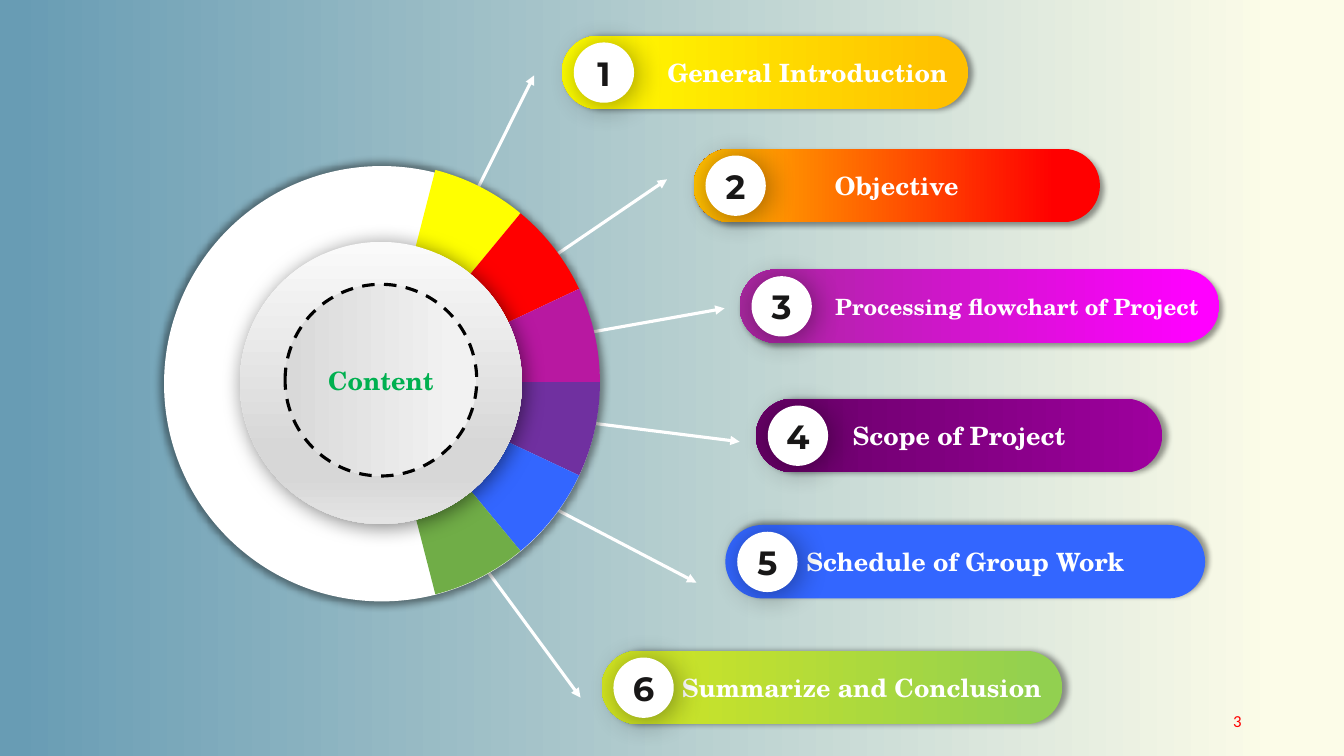
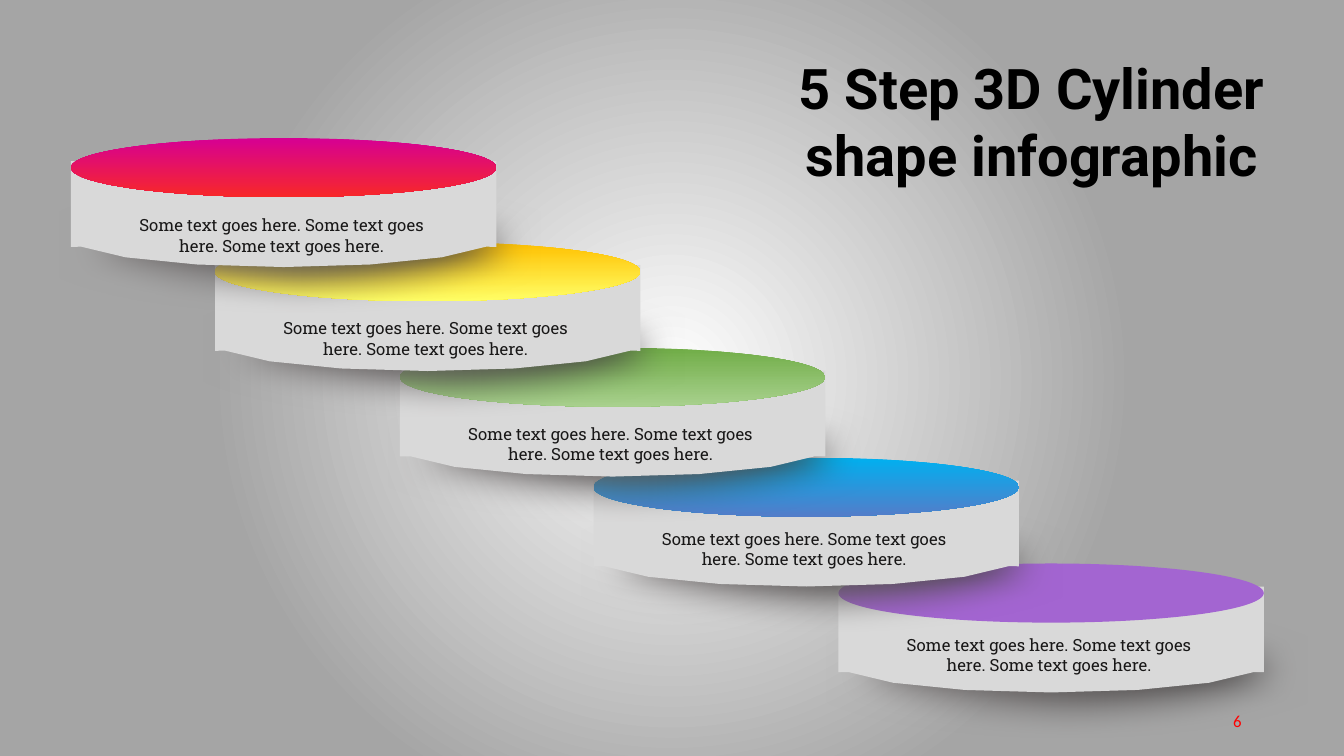
from math import cos, radians, sin

from lxml import etree
from pptx import Presentation
from pptx.dml.color import RGBColor
from pptx.enum.dml import MSO_LINE
from pptx.enum.shapes import MSO_CONNECTOR, MSO_SHAPE
from pptx.enum.text import MSO_ANCHOR, PP_ALIGN
from pptx.oxml.ns import qn
from pptx.util import Cm, Pt

ELLIPSE, PIE, PILL = MSO_SHAPE.OVAL, MSO_SHAPE.PIE, MSO_SHAPE.ROUNDED_RECTANGLE
STRAIGHT = MSO_CONNECTOR.STRAIGHT
DASH = MSO_LINE.DASH
MIDDLE = MSO_ANCHOR.MIDDLE
CENTER, RIGHT = PP_ALIGN.CENTER, PP_ALIGN.RIGHT

WHITE = RGBColor(0xFF, 0xFF, 0xFF)
BLACK = RGBColor(0x00, 0x00, 0x00)
INK = RGBColor(0x18, 0x17, 0x17)
RED = RGBColor(0xFF, 0x00, 0x00)
YELLOW = RGBColor(0xFF, 0xFF, 0x00)
AMBER = RGBColor(0xFF, 0xC0, 0x00)
BLUE = RGBColor(0x33, 0x66, 0xFF)
GREEN = RGBColor(0x70, 0xAD, 0x47)
PALE_GREEN = RGBColor(0xA9, 0xD1, 0x8E)
LEAF = RGBColor(0x92, 0xD0, 0x50)
LIME = RGBColor(0xD3, 0xE6, 0x22)
EMERALD = RGBColor(0x00, 0xB0, 0x50)
MAGENTA = RGBColor(0xB8, 0x18, 0xA1)
FUCHSIA = RGBColor(0xFF, 0x00, 0xFF)
PLUM = RGBColor(0xA8, 0x28, 0x9F)
PURPLE = RGBColor(0x70, 0x30, 0xA0)
VIOLET = RGBColor(0x9E, 0x00, 0x9E)
DARK_VIOLET = RGBColor(0x66, 0x00, 0x66)
LAVENDER = RGBColor(0xA3, 0x65, 0xD1)
PINK = RGBColor(0xD6, 0x00, 0x93)
SCARLET = RGBColor(0xF8, 0x28, 0x28)
LEMON = RGBColor(0xFF, 0xFF, 0x66)
SKY = RGBColor(0x00, 0xB0, 0xF0)
STEEL = RGBColor(0x53, 0x7D, 0xC9)
CREAM = RGBColor(0xFC, 0xFC, 0xE8)
TEAL = RGBColor(0x68, 0x9C, 0xB4)
GRAY_98 = RGBColor(0xFA, 0xFA, 0xFA)
GRAY_95 = RGBColor(0xF2, 0xF2, 0xF2)
GRAY_89 = RGBColor(0xE4, 0xE4, 0xE4)
GRAY_85 = RGBColor(0xD9, 0xD9, 0xD9)
GRAY_84 = RGBColor(0xD7, 0xD7, 0xD7)
GRAY_65 = RGBColor(0xA5, 0xA5, 0xA5)
GRAY_45 = RGBColor(0x76, 0x71, 0x71)
GRAY_22 = RGBColor(0x3B, 0x38, 0x38)

SERIF = "TeX Gyre Schola"

# Wheel
WHEEL_X, WHEEL_Y, WEDGE_DIAMETER = 9.6, 9.63, 11.04
WEDGE_START, WEDGE_SWEEP = 284.4, 25.2
PILL_HEIGHT, BADGE_SIZE = 1.85, 1.52

# wedge colour, arrow (x1, y1, x2, y2)
WEDGES = [
    (YELLOW, (9.91, 9.02, 13.46, 1.9)),
    (RED, (9.86, 9.25, 16.81, 4.52)),
    (MAGENTA, (9.12, 9.4, 18.26, 7.77)),
    (PURPLE, (9.5, 9.98, 18.64, 11.13)),
    (BLUE, (9.91, 10.69, 17.55, 14.68)),
    (GREEN, (9.19, 10.19, 14.63, 17.58)),
]

# text, left, top, width, alignment, size, fill, shadow direction
TOPICS = [
    ("General Introduction", 14.16, 0.9, 10.24, RIGHT, 18, [(4, AMBER), (100, YELLOW)], 0),
    ("Objective", 17.48, 3.75, 10.24, CENTER, 18, [(11, RED), (100, AMBER)], 45),
    ("Processing flowchart of Project", 18.64, 6.79, 12.09, RIGHT, 16,
     [(4, FUCHSIA), (100, PLUM)], 45),
    ("Scope of Project", 19.05, 10.05, 10.24, CENTER, 18, [(0, VIOLET), (100, DARK_VIOLET)], 0),
    ("Schedule of Group Work", 18.28, 13.23, 12.09, CENTER, 18, BLUE, 315),
    ("Summarize and Conclusion", 15.16, 16.4, 11.61, RIGHT, 18, [(4, LEAF), (100, LIME)], 0),
]

# Cylinders
DISC_WIDTH, DISC_HEIGHT = 10.72, 1.49
STEP_LINES = ["Some text goes here. Some text goes", "here. Some text goes here."]

# left, top, lid fill, space above the text
CYLINDERS = [
    (1.79, 3.48, [(0, PINK), (100, SCARLET)], 1.07),
    (5.42, 6.1, [(0, AMBER), (100, LEMON)], 1.02),
    (10.08, 8.76, [(0, GREEN), (100, PALE_GREEN)], 1.02),
    (14.96, 11.53, [(0, SKY), (100, STEEL)], 0.79),
    (21.13, 14.2, LAVENDER, 0.79),
]


def add_child(parent, tag, **attributes):
    values = {name: str(value) for name, value in attributes.items()}
    return etree.SubElement(parent, qn(tag), values)


def set_gradient(fill, element, stops, angle=None):
    """Fill with (percent, colour) stops; without an angle they spread from the centre."""
    fill.gradient()
    gradient = next(element.iter(qn("a:gradFill")))
    for child in list(gradient):
        gradient.remove(child)
    stop_list = add_child(gradient, "a:gsLst")
    for percent, color in stops:
        stop = add_child(stop_list, "a:gs", pos=percent * 1000)
        add_child(stop, "a:srgbClr", val=color)
    if angle is None:
        circle = add_child(gradient, "a:path", path="circle")
        add_child(circle, "a:fillToRect", l=50000, t=50000, r=50000, b=50000)
    else:
        add_child(gradient, "a:lin", ang=angle * 60000, scaled=0)


def style_shape(shape, fill, angle=180):
    """Apply a colour or a list of gradient stops, with no outline and no shadow."""
    shape.shadow.inherit = False
    shape.line.fill.background()
    if isinstance(fill, list):
        set_gradient(shape.fill, shape._element.spPr, fill, angle)
    else:
        shape.fill.solid()
        shape.fill.fore_color.rgb = fill


def add_shape(slide, kind, left, top, width, height, fill, angle=180):
    shape = slide.shapes.add_shape(kind, Cm(left), Cm(top), Cm(width), Cm(height))
    style_shape(shape, fill, angle)
    return shape


def add_shadow(shape, alpha, blur, distance, direction, scale=100):
    effects = shape._element.spPr.find(qn("a:effectLst"))
    shadow = add_child(effects, "a:outerShdw", blurRad=Pt(blur), dist=Pt(distance),
                       dir=direction * 60000, sx=scale * 1000, sy=scale * 1000,
                       algn="ctr", rotWithShape=0)
    color = add_child(shadow, "a:srgbClr", val=BLACK)
    add_child(color, "a:alpha", val=alpha * 1000)


def soften_edge(shape, radius):
    effects = shape._element.spPr.find(qn("a:effectLst"))
    add_child(effects, "a:softEdge", rad=Pt(radius))


def write_text(shape, *lines, font, size, color, bold=False, align=CENTER,
               margins=(0.25, 0.13, 0.25, 0.13)):
    frame = shape.text_frame
    frame.word_wrap = True
    frame.vertical_anchor = MIDDLE
    (frame.margin_left, frame.margin_top,
     frame.margin_right, frame.margin_bottom) = map(Cm, margins)
    for index, line in enumerate(lines):
        paragraph = frame.add_paragraph() if index else frame.paragraphs[0]
        paragraph.alignment = align
        run = paragraph.add_run()
        run.text = line
        run.font.name = font
        run.font.size = Pt(size)
        run.font.bold = bold
        run.font.color.rgb = color


def add_text_box(slide, left, top, width, height, text, **text_format):
    box = slide.shapes.add_textbox(Cm(left), Cm(top), Cm(width), Cm(height))
    write_text(box, text, **text_format)


def add_arrow(slide, x1, y1, x2, y2):
    arrow = slide.shapes.add_connector(STRAIGHT, Cm(x1), Cm(y1), Cm(x2), Cm(y2))
    arrow.line.color.rgb = WHITE
    arrow.line.width = Pt(2.25)
    add_child(arrow.line._get_or_add_ln(), "a:tailEnd", type="triangle")
    add_child(arrow._element.spPr, "a:effectLst")


def add_disc(slide, diameter, x, y, fill, angle=180):
    """Add a circle around a centre point."""
    return add_shape(slide, ELLIPSE, x - diameter / 2, y - diameter / 2,
                     diameter, diameter, fill, angle)


def add_wedge(slide, index, color):
    wedge = add_disc(slide, WEDGE_DIAMETER, WHEEL_X, WHEEL_Y, color)
    wedge.auto_shape_type  # placeholder-free preset check
    return wedge


def add_wedge(slide, index, color):
    radius = WEDGE_DIAMETER / 2
    wedge = add_shape(slide, PIE, WHEEL_X - radius, WHEEL_Y - radius,
                      WEDGE_DIAMETER, WEDGE_DIAMETER, color)
    for side in (0, 1):
        angle = (WEDGE_START + (index + side) * WEDGE_SWEEP) % 360
        wedge.adjustments[side] = round(angle * 0.6, 2)


def add_topic(slide, number, text, left, top, width, align, size, fill, direction):
    pill = add_shape(slide, PILL, left, top, width, PILL_HEIGHT, fill)
    pill.adjustments[0] = 0.5
    add_shadow(pill, 40, 4, 3, direction)
    write_text(pill, text, font=SERIF, size=size, color=WHITE, bold=True, align=align)
    badge = add_shape(slide, ELLIPSE, left + 0.3, top + 0.17, BADGE_SIZE, BADGE_SIZE, WHITE)
    add_shadow(badge, 40, 22, 3, 45)
    write_text(badge, str(number), font="Montserrat", size=24, color=INK, bold=True,
               margins=(0, 0, 0, 0))


def add_cylinder(slide, left, top, lid_fill, space_above):
    floor = add_shape(slide, ELLIPSE, left - 1.21, top + 0.94, 13.94, 3.48,
                      [(7, GRAY_45), (100, GRAY_22)], 0)
    soften_edge(floor, 25)

    wall_top, wall_bottom, curve_y = top + 0.58, top + 2.74, top + 2.51
    radius = DISC_WIDTH / 2
    right = left + DISC_WIDTH
    curve = [(left + radius + radius * cos(radians(angle)),
              curve_y + 0.74 * sin(radians(angle))) for angle in range(18, 163, 24)]
    outline = [(right, wall_top), (right, wall_bottom), *curve, (left, wall_bottom)]
    builder = slide.shapes.build_freeform(Cm(left), Cm(wall_top))
    builder.add_line_segments([(Cm(x), Cm(y)) for x, y in outline], close=True)
    wall = builder.convert_to_shape()
    style_shape(wall, GRAY_85)
    write_text(wall, *STEP_LINES, font="Roboto Slab", size=12, color=INK,
               margins=(0.25, space_above, 0.35, 0))

    add_shape(slide, ELLIPSE, left, top, DISC_WIDTH, DISC_HEIGHT, lid_fill, 90)


def add_slide(presentation, stops, angle=None):
    slide = presentation.slides.add_slide(presentation.slide_layouts[6])
    set_gradient(slide.background.fill, slide._element, stops, angle)
    return slide


def add_page_number(slide, number):
    add_text_box(slide, 23.92, 17.65, 7.62, 1.02, str(number),
                 font="Calibri", size=12, color=RED, align=RIGHT)


def build_content_slide(presentation):
    slide = add_slide(presentation, [(5, CREAM), (99, TEAL)], 180)
    for _, arrow in WEDGES:
        add_arrow(slide, *arrow)
    ring = add_disc(slide, 10.97, 9.62, 9.67, WHITE)
    add_shadow(ring, 40, 5, 0, 0, scale=102)
    for index, (color, _) in enumerate(WEDGES):
        add_wedge(slide, index, color)
    hub = add_disc(slide, 7.11, 9.6, 9.65,
                   [(0, GRAY_98), (74, GRAY_84), (83, GRAY_84), (100, GRAY_89)], 90)
    add_shadow(hub, 50, 15, 2.6, 53)
    label = add_disc(slide, 4.83, 9.6, 9.58, [(11, GRAY_95), (99, GRAY_85)])
    label.line.color.rgb = BLACK
    label.line.width = Pt(2.25)
    label.line.dash_style = DASH
    write_text(label, "Content", font=SERIF, size=18, color=EMERALD, bold=True)
    for number, topic in enumerate(TOPICS, start=1):
        add_topic(slide, number, *topic)
    add_page_number(slide, 3)


def build_cylinder_slide(presentation):
    slide = add_slide(presentation, [(0, WHITE), (60, GRAY_65)])
    for cylinder in reversed(CYLINDERS):
        add_cylinder(slide, *cylinder)
    add_text_box(slide, 18.69, 0.71, 14.61, 4.65, "5 Step 3D Cylinder shape infographic",
                 font="Roboto", size=40, color=BLACK, bold=True)
    add_page_number(slide, 6)


def main():
    presentation = Presentation()
    presentation.slide_width = Cm(33.87)
    presentation.slide_height = Cm(19.05)
    build_content_slide(presentation)
    build_cylinder_slide(presentation)
    presentation.save("out.pptx")


if __name__ == "__main__":
    main()
